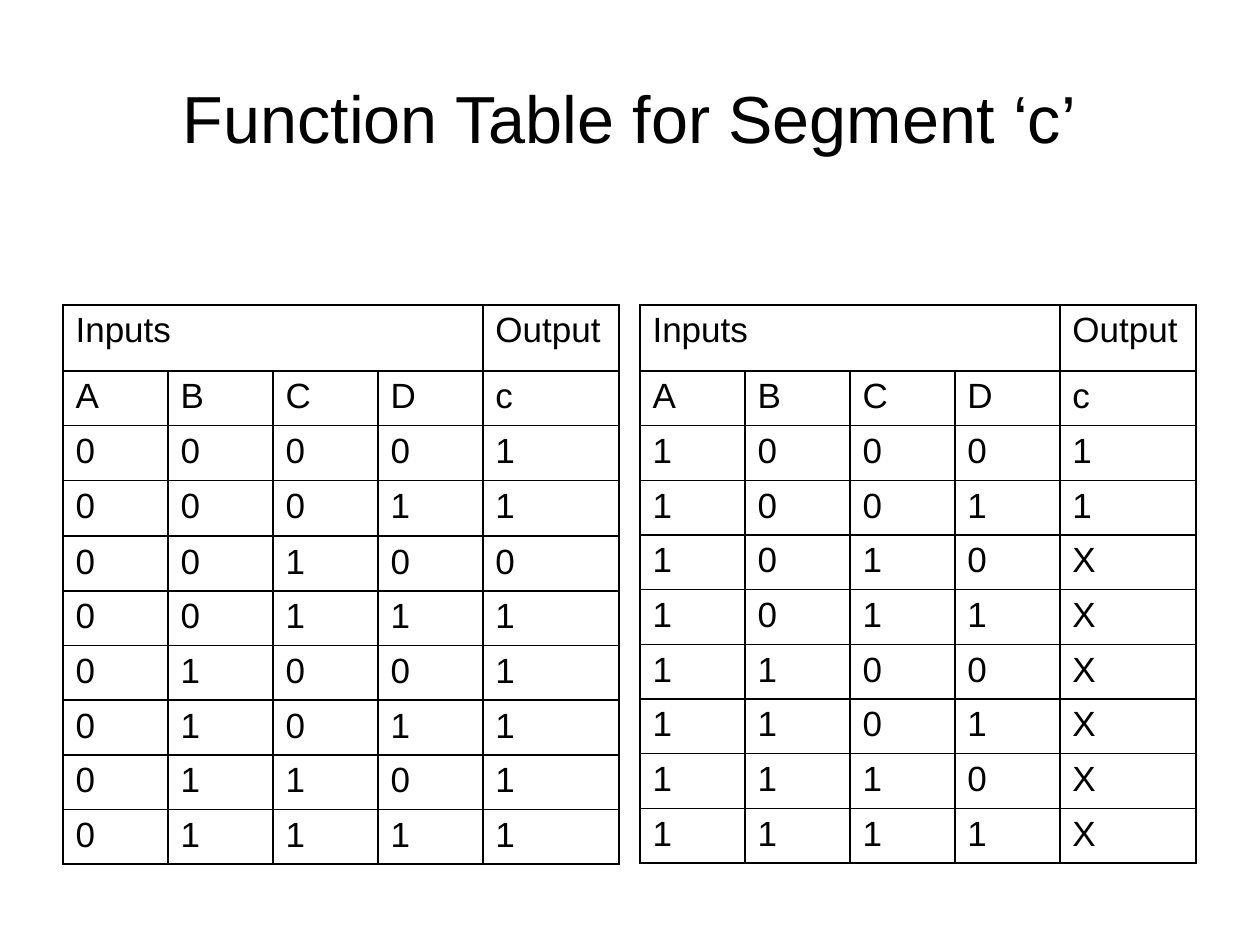
from dataclasses import dataclass

from lxml import etree
from pptx import Presentation
from pptx import util as u
from pptx.dml.color import RGBColor
from pptx.enum import text
from pptx.oxml import ns

PX = u.Inches(1) // 126


@dataclass(frozen=True)
class Theme:
    font: str = "Arial"
    ink: RGBColor = RGBColor(0, 0, 0)
    paper: RGBColor = RGBColor(255, 255, 255)
    title_size: int = 38
    cell_size: int = 20
    border: int = 1


theme = Theme()


def add_text(paragraph, wording, size):
    run = paragraph.add_run()
    run.text = wording
    run.font.name = theme.font
    run.font.size = u.Pt(size)
    run.font.color.rgb = theme.ink


def add_borders(cell):
    """Draw a solid line on all four sides; lines must precede the fill."""
    properties = cell._tc.get_or_add_tcPr()
    for position, side in enumerate(("lnL", "lnR", "lnT", "lnB")):
        line = etree.Element(ns.qn(f"a:{side}"), w=str(u.Pt(theme.border)))
        fill = etree.SubElement(line, ns.qn("a:solidFill"))
        etree.SubElement(fill, ns.qn("a:srgbClr"), val=str(theme.ink))
        properties.insert(position, line)


presentation = Presentation()
presentation.slide_width = 1260 * PX
presentation.slide_height = 945 * PX
slide = presentation.slides.add_slide(presentation.slide_layouts[6])
slide.background.fill.solid()
slide.background.fill.fore_color.rgb = theme.paper

title = slide.shapes.add_textbox(63 * PX, 38 * PX, 1134 * PX, 158 * PX)
title.text_frame.word_wrap = True
title.text_frame.vertical_anchor = text.MSO_ANCHOR.MIDDLE
title_paragraph = title.text_frame.paragraphs[0]
title_paragraph.alignment = text.PP_ALIGN.CENTER
add_text(title_paragraph, "Function Table for Segment ‘c’", theme.title_size)

COLUMN_WIDTHS = [105] * 4 + [136]
HEADER_HEIGHT, ROW_HEIGHT, TALL_ROW_HEIGHT = 66, 51, 56
HEADERS = [["Inputs", "", "", "", "Output"], list("ABCDc")]

# left edge, first input value, outputs, hanging indent, tall row
halves = [
    (63, 0, "11011111", 48, 3),
    (640, 8, "11XXXXXX", 0, None),
]

for left, first_input, outputs, hanging, tall_row in halves:
    rows = HEADERS + [
        list(f"{value:04b}{output}")
        for value, output in enumerate(outputs, first_input)
    ]
    heights = [HEADER_HEIGHT] + [ROW_HEIGHT] * (len(rows) - 1)
    if tall_row is not None:
        heights[tall_row] = TALL_ROW_HEIGHT
    table = slide.shapes.add_table(
        len(rows), len(COLUMN_WIDTHS), left * PX, 305 * PX,
        sum(COLUMN_WIDTHS) * PX, sum(heights) * PX,
    ).table
    table.first_row = False
    table.horz_banding = False
    for column, width in zip(table.columns, COLUMN_WIDTHS):
        column.width = width * PX
    for row, height in zip(table.rows, heights):
        row.height = height * PX
    table.cell(0, 0).merge(table.cell(0, 3))

    for row, wordings in zip(table.rows, rows):
        for cell, wording in zip(row.cells, wordings):
            cell.fill.background()
            add_borders(cell)
            if cell.is_spanned:
                continue
            paragraph = cell.text_frame.paragraphs[0]
            paragraph.alignment = text.PP_ALIGN.JUSTIFY
            if hanging:
                properties = paragraph._p.get_or_add_pPr()
                properties.set("marL", str(hanging * PX))
                properties.set("indent", str(-hanging * PX))
            add_text(paragraph, wording, theme.cell_size)

presentation.save("out.pptx")
